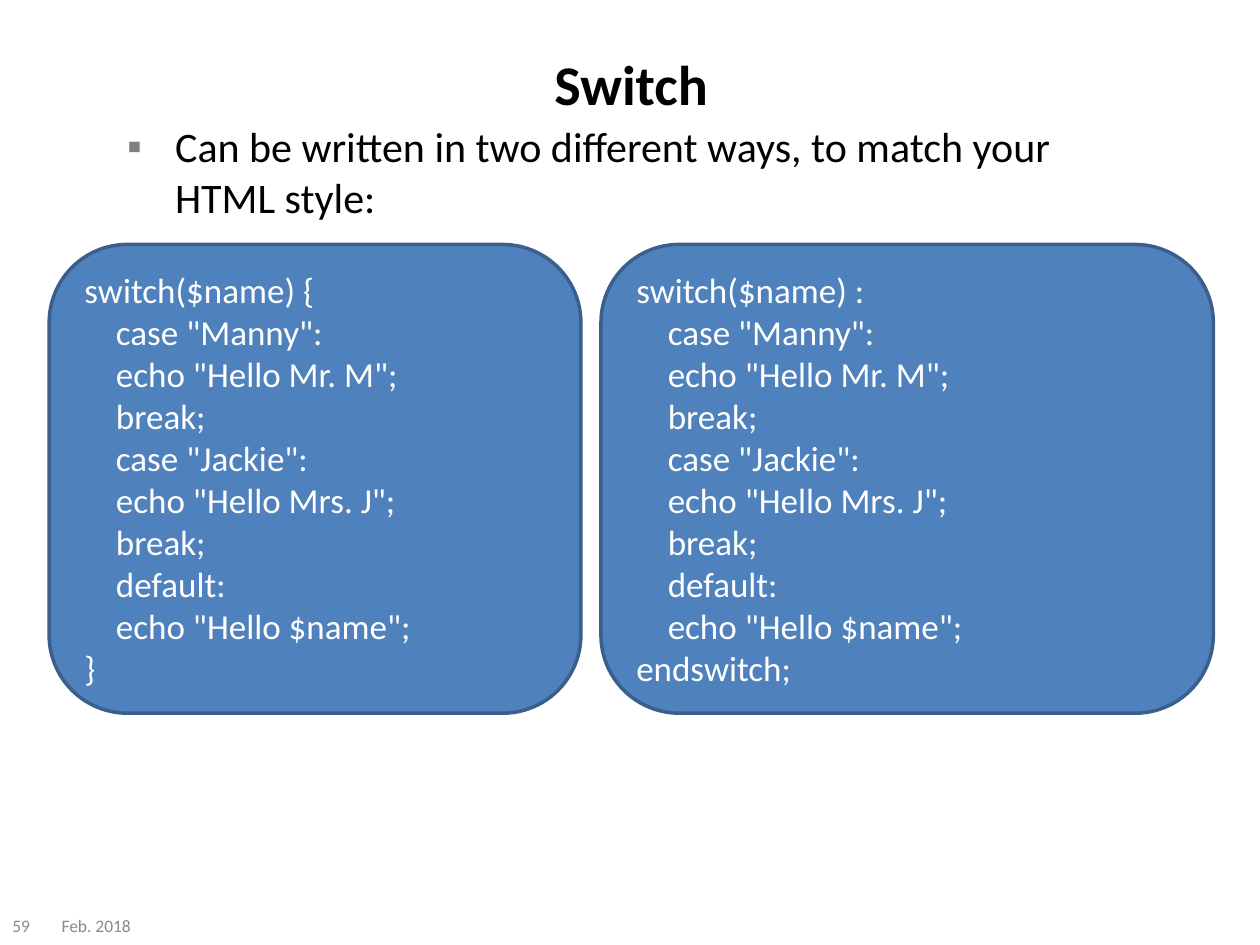
from dataclasses import dataclass

from lxml.etree import SubElement
from pptx import Presentation
from pptx.dml.color import RGBColor
from pptx.enum.shapes import MSO_SHAPE as Preset
from pptx.enum.text import MSO_ANCHOR as Anchor, MSO_AUTO_SIZE as AutoSize, PP_ALIGN as Align
from pptx.oxml.ns import qn
from pptx.util import Inches, Pt


@dataclass(frozen=True)
class Theme:
    font: str = "Calibri"
    ink: str = "000000"
    muted: str = "898989"
    bullet: str = "7F7F7F"
    panel: str = "4F81BD"
    border: str = "3A5F8C"
    code: str = "FFFFFF"
    title_size: int = 32
    body_size: int = 24
    code_size: int = 20
    footer_size: int = 10


theme = Theme()

TITLE = "Switch"
POINT = "Can be written in two different ways, to match your HTML style:"
CASES = [
    'case "Manny":',
    'echo "Hello Mr. M";',
    "break;",
    'case "Jackie":',
    'echo "Hello Mrs. J";',
    "break;",
    "default:",
    'echo "Hello $name";',
]
STYLES = [
    ("switch($name) {", "}", 4.22),
    ("switch($name) :", "endswitch;", 4.86),
]
FOOTERS = [("Feb. 2018", 0.39, 0.94), ("59", 0, 0.47)]
PANEL_LEFT, PANEL_TOP, PANEL_HEIGHT, PANEL_GAP = 0.39, 1.94, 3.72, 0.16
CODE_INDENT = 0.25


def place(shape, left, top, width, height):
    shape.left, shape.top = Inches(left), Inches(top)
    shape.width, shape.height = Inches(width), Inches(height)


def add_run(paragraph, text, size, color, bold=False):
    run = paragraph.add_run()
    run.text = text
    run.font.name = theme.font
    run.font.size = Pt(size)
    run.font.bold = bold
    run.font.color.rgb = RGBColor.from_string(color)


def set_indent(paragraph, margin, first=0):
    properties = paragraph._p.get_or_add_pPr()
    properties.set("marL", str(Inches(margin)))
    properties.set("indent", str(Inches(first)))
    return properties


def add_bullet(paragraph):
    properties = set_indent(paragraph, 0.38, -0.38)
    spacing = SubElement(properties, qn("a:spcBef"))
    SubElement(spacing, qn("a:spcPct"), val="20000")
    color = SubElement(properties, qn("a:buClr"))
    SubElement(color, qn("a:srgbClr"), val=theme.bullet)
    SubElement(properties, qn("a:buFont"), typeface="Arial")
    SubElement(properties, qn("a:buChar"), char="▪")


def add_code_panel(slide, left, width, lines):
    panel = slide.shapes.add_shape(
        Preset.ROUNDED_RECTANGLE,
        Inches(left), Inches(PANEL_TOP), Inches(width), Inches(PANEL_HEIGHT),
    )
    panel.shadow.inherit = False
    panel.fill.solid()
    panel.fill.fore_color.rgb = RGBColor.from_string(theme.panel)
    panel.line.color.rgb = RGBColor.from_string(theme.border)
    panel.line.width = Pt(2)
    frame = panel.text_frame
    frame.word_wrap = True
    frame.vertical_anchor = Anchor.MIDDLE
    for index, (text, indent) in enumerate(lines):
        paragraph = frame.add_paragraph() if index else frame.paragraphs[0]
        paragraph.alignment = Align.LEFT
        set_indent(paragraph, indent)
        add_run(paragraph, text, theme.code_size, theme.code)


presentation = Presentation()
presentation.slide_width, presentation.slide_height = Inches(10), Inches(7.5)
slide = presentation.slides.add_slide(presentation.slide_layouts[1])

title = slide.shapes.title
place(title, 0.51, 0.09, 9, 1.14)
title.text_frame.vertical_anchor = Anchor.MIDDLE
heading = title.text_frame.paragraphs[0]
heading.alignment = Align.CENTER
add_run(heading, TITLE, theme.title_size, theme.ink, bold=True)

for text, left, width in FOOTERS:
    footer = slide.shapes.add_textbox(0, 0, 0, 0)
    place(footer, left, 7.19, width, 0.31)
    footer.text_frame.word_wrap = True
    footer.text_frame.vertical_anchor = Anchor.MIDDLE
    add_run(footer.text_frame.paragraphs[0], text, theme.footer_size, theme.muted)

body = slide.placeholders[1]
place(body, 0.91, 0.91, 8.2, 5.63)
body.text_frame.auto_size = AutoSize.NONE
point = body.text_frame.paragraphs[0]
add_bullet(point)
add_run(point, POINT, theme.body_size, theme.ink)

left = PANEL_LEFT
for opening, closing, width in STYLES:
    lines = [(opening, 0), *((line, CODE_INDENT) for line in CASES), (closing, 0)]
    add_code_panel(slide, left, width, lines)
    left += width + PANEL_GAP

presentation.save("out.pptx")
